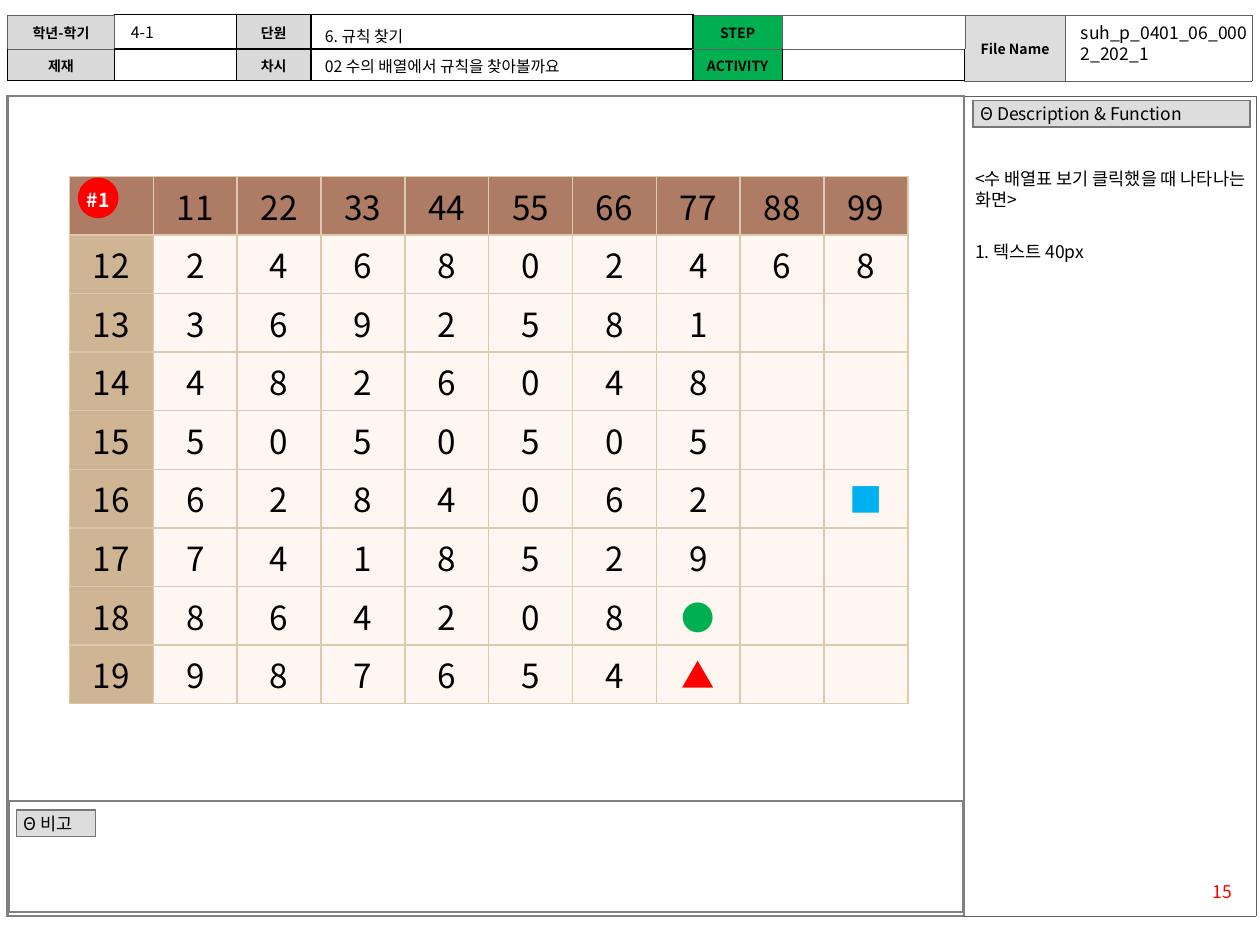
"""Build the storyboard page with the number array table."""
from lxml import etree
from pptx import Presentation
from pptx.dml.color import RGBColor
from pptx.enum.shapes import MSO_SHAPE
from pptx.enum.text import MSO_ANCHOR, PP_ALIGN
from pptx.oxml.ns import qn
from pptx.util import Cm, Pt

LEFT, CENTER, RIGHT = PP_ALIGN.LEFT, PP_ALIGN.CENTER, PP_ALIGN.RIGHT
JUSTIFY = PP_ALIGN.JUSTIFY
MIDDLE = MSO_ANCHOR.MIDDLE
OVAL = MSO_SHAPE.OVAL

FONT = "Noto Sans CJK KR"
COLORS = {
    "black": "000000", "white": "FFFFFF", "red": "FF0000",
    "green": "00B050", "blue": "00B0F0", "frame": "808080",
    "hairline": "5F5F5F", "label_edge": "777777", "label": "DDDDDD",
    "heading": "D9D9D9", "grid_edge": "DDC9B1", "grid_top": "AE7C65",
    "grid_side": "D0B594", "grid_cell": "FEF6F0",
}
MARKS = {"■": "blue", "●": "green", "▲": "red"}


def write(paragraph, text, size, color="black", bold=False, align=LEFT):
    paragraph.alignment = align
    if not text:
        etree.SubElement(paragraph._p, qn("a:endParaRPr"), sz=str(size * 100))
        return
    span = paragraph.add_run()
    span.text = text
    for name, value in {"name": FONT, "size": Pt(size), "bold": bold}.items():
        setattr(span.font, name, value)
    span.font.color.rgb = RGBColor.from_string(COLORS[color])
    etree.SubElement(span._r.get_or_add_rPr(), qn("a:ea"), typeface=FONT)


def border(cell, sides, color, width):
    properties = cell._tc.get_or_add_tcPr()
    for side in sides:
        tag = qn(f"a:ln{side}")
        line = properties.find(tag)
        if line is None:
            line = etree.SubElement(properties, tag)
        line.clear()
        line.set("w", str(Pt(width)))
        fill = etree.SubElement(line, qn("a:solidFill"))
        etree.SubElement(fill, qn("a:srgbClr"), val=COLORS[color])


deck = Presentation()
deck.slide_width, deck.slide_height = Cm(25.4), Cm(19.05)
page = deck.slides.add_slide(deck.slide_layouts[6])

header_texts = [
    ["학년-학기", "", "단원", "", "STEP", "", "File Name", ""],
    ["제재", "", "차시", "", "ACTIVITY", "", "", ""],
]
header_fills = ["heading", None, "heading", None, "green", None, "label", None]

grid_texts = [[""] + [str(11 * n) for n in range(1, 10)]]
for row_number in range(12, 20):
    filled = 9 if row_number == 12 else 7
    digits = [str(row_number * n % 10) for n in range(1, filled + 1)]
    grid_texts.append([str(row_number)] + digits + [""] * (9 - filled))
grid_texts[5][9] = "■"
grid_texts[7][7] = "●"
grid_texts[8][7] = "▲"
grid_fills = [["grid_top"] * 10] + [["grid_side"] + ["grid_cell"] * 9] * 8

label_style = {"edge": ("label_edge", 1), "size": 10, "fills": [["label"]]}
table_specs = {
    "frame": {"at": (0.15, 1.93), "widths": [19.28, 5.89], "heights": [16.54],
              "texts": [["", ""]], "fills": [[None, None]],
              "edge": ("frame", 1.5), "size": 10},
    "header": {"at": (0.15, 0.3),
               "widths": [2.16, 2.46, 1.5, 7.7, 1.8, 3.68, 2.03, 3.76],
               "heights": [0.69, 0.64], "texts": header_texts,
               "fills": [header_fills] * 2, "edge": ("black", 0.75),
               "size": 8, "bold": True, "align": CENTER},
    "notes": {"at": (0.18, 16.15), "widths": [19.23], "heights": [2.24],
              "texts": [[""]], "fills": [[None]],
              "edge": ("frame", 1.5), "size": 10},
    "notes_label": {"at": (0.33, 16.33), "widths": [1.6], "heights": [0.53],
                    "texts": [["Θ 비고"]], **label_style},
    "description_label": {"at": (19.61, 2.03), "widths": [5.59],
                          "heights": [0.53],
                          "texts": [["Θ Description & Function"]],
                          **label_style},
    "grid": {"at": (1.4, 3.56), "widths": [1.69] * 10, "heights": [1.18] * 9,
             "texts": grid_texts, "fills": grid_fills,
             "edge": ("grid_edge", 1), "size": 19, "align": CENTER},
}
cell_format = {
    "margin_left": Cm(0.15), "margin_right": Cm(0.15),
    "margin_top": Cm(0.03), "margin_bottom": Cm(0.03),
    "vertical_anchor": MIDDLE,
}
tables = {}
for name, spec in table_specs.items():
    widths, heights = spec["widths"], spec["heights"]
    table = page.shapes.add_table(
        len(heights), len(widths), *map(Cm, spec["at"]),
        Cm(sum(widths)), Cm(sum(heights))).table
    table.first_row = table.horz_banding = False
    for column, width in zip(table.columns, widths):
        column.width = Cm(width)
    for row, height in zip(table.rows, heights):
        row.height = Cm(height)
    for row, texts, fills in zip(table.rows, spec["texts"], spec["fills"]):
        for cell, text, fill in zip(row.cells, texts, fills):
            for key, value in cell_format.items():
                setattr(cell, key, value)
            border(cell, "LRTB", *spec["edge"])
            if fill:
                cell.fill.solid()
                cell.fill.fore_color.rgb = RGBColor.from_string(COLORS[fill])
            else:
                cell.fill.background()
            paragraph = cell.text_frame.paragraphs[0]
            write(paragraph, text, spec["size"], MARKS.get(text, "black"),
                  spec.get("bold", False), spec.get("align", LEFT))
            if spec["edge"][0] == "label_edge":
                paragraph.line_spacing = 0.9
    tables[name] = table

border(tables["frame"].cell(0, 1), "RTB", "hairline", 0.25)
header = tables["header"]
for column in (0, 4, 5, 6, 7):
    border(header.cell(0, column), "RTB" if column == 4 else "LRTB",
           "hairline", 0.25)
    border(header.cell(1, column), "T" if column < 6 else "LRTB",
           "hairline", 0.25)
border(header.cell(0, 1), "L", "hairline", 0.25)
for column in (6, 7):
    header.cell(0, column).merge(header.cell(1, column))

text_boxes = [
    ((23.39, 17.63, 1.7, 0.69), ["15"], 10, "red", RIGHT),
    ((19.41, 3.26, 5.99, 2.18),
     ["<수 배열표 보기 클릭했을 때 나타나는 화면>", "1. 텍스트 40px"],
     10, "black", LEFT),
    ((21.54, 0.33, 3.86, 1.12), ["suh_p_0401_06_0002_202_1"],
     10, "black", JUSTIFY),
    ((2.39, 0.33, 2.39, 0.61), ["4-1"], 9, "black", LEFT),
    ((6.3, 0.41, 7.7, 0.41), ["6. 규칙 찾기"], 9, "black", LEFT),
    ((6.3, 1.02, 7.59, 0.61), ["02 수의 배열에서 규칙을 찾아볼까요"],
     9, "black", LEFT),
]
for place, lines, size, color, align in text_boxes:
    frame = page.shapes.add_textbox(*map(Cm, place)).text_frame
    frame.word_wrap = True
    for index, line in enumerate(lines):
        paragraph = frame.add_paragraph() if index else frame.paragraphs[0]
        paragraph.line_spacing = Pt(1.2 * size)
        if index:
            paragraph.space_before = Pt(18)
        write(paragraph, line, size, color, align=align)

badge = page.shapes.add_shape(OVAL, Cm(1.57), Cm(3.58), Cm(0.82), Cm(0.82))
badge.shadow.inherit = False
badge.fill.solid()
badge.fill.fore_color.rgb = RGBColor.from_string(COLORS["red"])
badge.line.fill.background()
badge_format = {"margin_left": 0, "margin_right": 0, "margin_top": 0,
                "margin_bottom": 0, "vertical_anchor": MIDDLE,
                "word_wrap": False}
for key, value in badge_format.items():
    setattr(badge.text_frame, key, value)
paragraph = badge.text_frame.paragraphs[0]
paragraph.line_spacing = 1.2
write(paragraph, "#1", 11, "white", True, CENTER)

deck.save("out.pptx")
